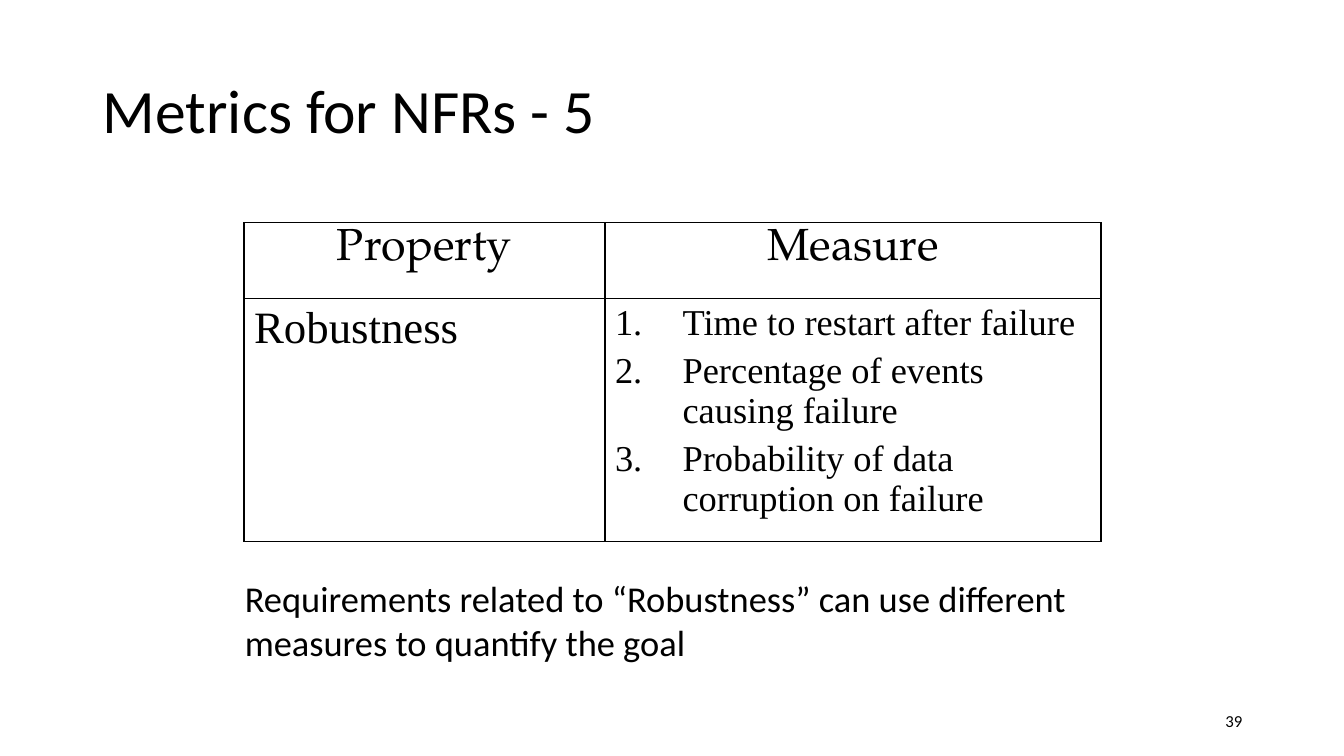
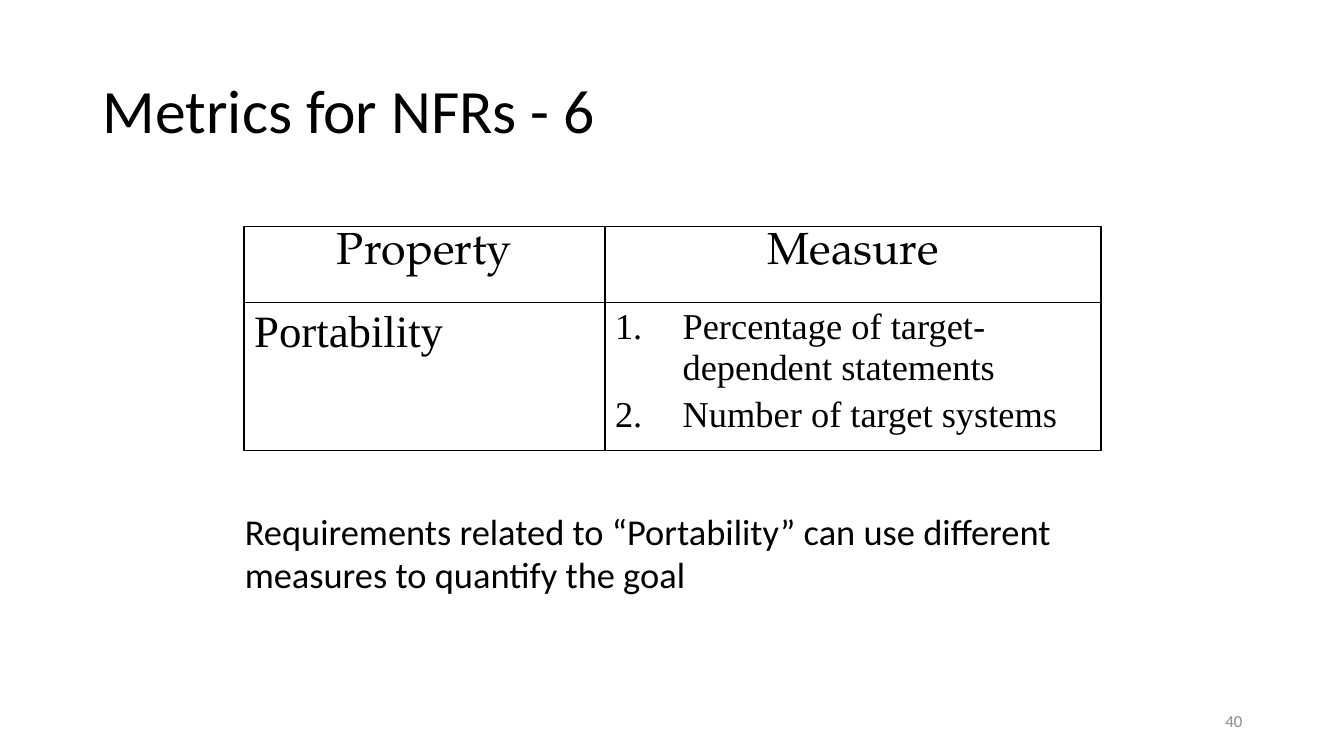
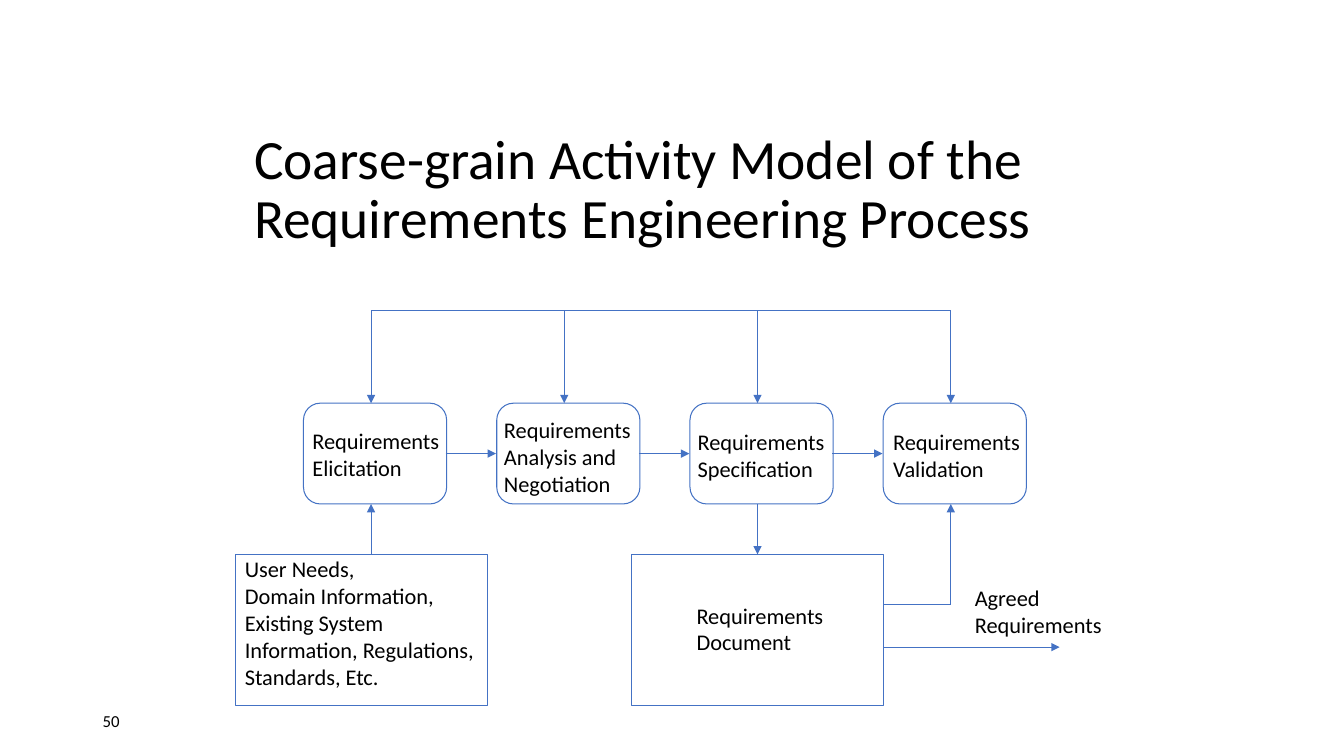
from dataclasses import dataclass

from lxml.etree import SubElement
from pptx import Presentation
from pptx.dml.color import RGBColor
from pptx.enum.shapes import MSO_CONNECTOR, MSO_SHAPE
from pptx.enum.text import MSO_ANCHOR, MSO_AUTO_SIZE, PP_ALIGN
from pptx.oxml import parse_xml
from pptx.oxml.ns import nsdecls, qn
from pptx.util import Inches, Pt


@dataclass(frozen=True)
class Theme:
    ink: str = "000000"
    muted: str = "8C8C8C"
    accent: str = "4472C4"
    body: str = "Calibri"
    serif: str = "Times New Roman"
    heading: str = "TeX Gyre Pagella"
    title_size: float = 44
    long_title_size: float = 39.6
    cell_size: float = 32
    text_size: float = 26
    label_size: float = 16
    number_size: float = 12
    thin: float = 0.75
    medium: float = 1


THEME = Theme()
WIDTH, HEIGHT = 13.33, 7.5
TITLE_BOX = (0.92, 0.4, 11.5, 1.45)
NUMBER_TOP, NUMBER_W, NUMBER_H = 6.95, 3, 0.4
NUMBER_LEFT, NUMBER_RIGHT = 0.92, 9.42
TABLE_LEFT, TABLE_COLUMNS, TABLE_ROW = 2.42, (3.58, 4.92), 0.75
TABLE_HEADER = ("Property", "Measure")
LIST_INDENT = 0.67

METRICS = [
    dict(title="Metrics for NFRs - 5", number="39", number_color=THEME.ink,
         property="Robustness", table_top=2.21, remark_top=5.67,
         measures=["Time to restart after failure",
                   "Percentage of events causing failure",
                   "Probability of data corruption on failure"]),
    dict(title="Metrics for NFRs - 6", number="40", number_color=THEME.muted,
         property="Portability", table_top=2.25, remark_top=5,
         measures=["Percentage of target-dependent statements",
                   "Number of target systems"]),
]
REMARK = "Requirements related to “{}” can use different measures to quantify the goal"

PROCESS_TITLE = "Coarse-grain Activity Model of the Requirements Engineering Process"
# Label lines with the left and top of their box
ACTIVITIES = [
    (["Requirements", "Elicitation"], 3, 4.19),
    (["Requirements", "Analysis and", "Negotiation"], 4.9, 4.08),
    (["Requirements", "Specification"], 6.82, 4.2),
    (["Requirements", "Validation"], 8.76, 4.2),
]
INPUTS = (["User Needs,", "Domain Information,", "Existing System",
           "Information, Regulations,", "Standards, Etc."], 2.33, 5.46)
DOCUMENT = (["Requirements", "Document"], 6.81, 5.92)
OUTCOME = (["Agreed", "Requirements"], 9.57, 5.75)


def inches(*lengths):
    return [Inches(length) for length in lengths]


def add_run(paragraph, text, size, font=THEME.body, color=THEME.ink):
    run = paragraph.add_run()
    run.text = text
    run.font.size, run.font.name = Pt(size), font
    run.font.color.rgb = RGBColor.from_string(color)


def add_text(slide, lines, box, size, color=THEME.ink, align=PP_ALIGN.LEFT,
             anchor=MSO_ANCHOR.TOP, wrap=True):
    frame = slide.shapes.add_textbox(*inches(*box)).text_frame
    frame.word_wrap, frame.vertical_anchor = wrap, anchor
    for i, line in enumerate(lines):
        paragraph = frame.add_paragraph() if i else frame.paragraphs[0]
        paragraph.alignment = align
        add_run(paragraph, line, size, color=color)


def add_titled_slide(deck, title, box=TITLE_BOX, size=THEME.title_size):
    slide = deck.slides.add_slide(deck.slide_layouts[5])
    holder = slide.shapes.title
    holder.left, holder.top, holder.width, holder.height = inches(*box)
    frame = holder.text_frame
    frame.word_wrap, frame.auto_size = True, MSO_AUTO_SIZE.NONE
    frame.vertical_anchor = MSO_ANCHOR.MIDDLE
    paragraph = frame.paragraphs[0]
    paragraph.alignment, paragraph.line_spacing = PP_ALIGN.LEFT, 0.9
    add_run(paragraph, title, size)
    return slide


def add_number(slide, number, left, align, color=THEME.ink):
    add_text(slide, [number], (left, NUMBER_TOP, NUMBER_W, NUMBER_H),
             THEME.number_size, color, align, MSO_ANCHOR.MIDDLE)


def outline_cell(cell):
    properties = cell._tc.get_or_add_tcPr()
    for side in ("lnL", "lnR", "lnT", "lnB"):
        properties.append(parse_xml(
            f'<a:{side} {nsdecls("a")} w="{Pt(THEME.medium)}"><a:solidFill>'
            f'<a:srgbClr val="{THEME.ink}"/></a:solidFill></a:{side}>'))
    cell.fill.background()


def add_numbered(frame, items):
    for i, item in enumerate(items):
        paragraph = frame.add_paragraph() if i else frame.paragraphs[0]
        if i:
            paragraph.space_before = Pt(0.2 * THEME.text_size)
        properties = paragraph._p.get_or_add_pPr()
        properties.set("marL", str(Inches(LIST_INDENT)))
        properties.set("indent", str(-Inches(LIST_INDENT)))
        SubElement(properties, qn("a:buAutoNum"), type="arabicPeriod")
        add_run(paragraph, item, THEME.text_size, THEME.serif)


def add_metric_table(slide, metric):
    table = slide.shapes.add_table(2, 2, *inches(
        TABLE_LEFT, metric["table_top"], sum(TABLE_COLUMNS), 2 * TABLE_ROW)).table
    table.first_row = table.horz_banding = False
    for column, width in zip(table.columns, TABLE_COLUMNS):
        column.width = Inches(width)
    for cell in table.iter_cells():
        outline_cell(cell)
    for i, heading in enumerate(TABLE_HEADER):
        paragraph = table.cell(0, i).text_frame.paragraphs[0]
        paragraph.alignment = PP_ALIGN.CENTER
        add_run(paragraph, heading, THEME.cell_size, THEME.heading)
    add_run(table.cell(1, 0).text_frame.paragraphs[0], metric["property"],
            THEME.cell_size, THEME.serif)
    add_numbered(table.cell(1, 1).text_frame, metric["measures"])


def add_metric_slide(deck, metric):
    slide = add_titled_slide(deck, metric["title"])
    add_number(slide, metric["number"], NUMBER_RIGHT, PP_ALIGN.RIGHT,
               metric["number_color"])
    add_metric_table(slide, metric)
    add_text(slide, [REMARK.format(metric["property"])],
             (2.33, metric["remark_top"], 8.67, 0.97), THEME.text_size)


def add_box(slide, kind, *box):
    shape = slide.shapes.add_shape(kind, *inches(*box))
    shape.shadow.inherit = False
    shape.fill.background()
    shape.line.color.rgb = RGBColor.from_string(THEME.accent)
    shape.line.width = Pt(THEME.thin)


def add_line(slide, start, end, arrow=True, weight=THEME.thin):
    link = slide.shapes.add_connector(MSO_CONNECTOR.STRAIGHT, *inches(*start, *end))
    link.line.color.rgb = RGBColor.from_string(THEME.accent)
    link.line.width = Pt(weight)
    if arrow:
        SubElement(link.line._get_or_add_ln(), qn("a:tailEnd"), type="triangle")
    SubElement(link._element.spPr, qn("a:effectLst"))


def add_label(slide, label, width=1.48):
    lines, left, top = label
    add_text(slide, lines, (left, top, width, 0.1 + 0.27 * len(lines)),
             THEME.label_size, wrap=False)


def add_process_slide(deck):
    slide = add_titled_slide(deck, PROCESS_TITLE, (2.42, 1.29, 8.5, 1.21),
                             THEME.long_title_size)
    add_number(slide, "50", NUMBER_LEFT, PP_ALIGN.LEFT)

    step = 5.75 / 3
    axes = [3.68 + step * i for i in range(len(ACTIVITIES))]
    bus, top, bottom, store = 3.08, 4, 5, 5.5
    store_w, store_h, document_left = 2.5, 1.5, 6.26
    document_right = document_left + store_w

    add_line(slide, (axes[0], bus), (axes[-1], bus), arrow=False)
    for i, (axis, label) in enumerate(zip(axes, ACTIVITIES)):
        add_box(slide, MSO_SHAPE.ROUNDED_RECTANGLE, 3.01 + step * i, top,
                1.42, bottom - top)
        add_line(slide, (axis, bus), (axis, top))
        add_label(slide, label)
        if i:
            gap = 4.42 + step * (i - 1)
            add_line(slide, (gap, 4.5), (gap + 0.5, 4.5), weight=THEME.medium)

    for left in (2.34, document_left):
        add_box(slide, MSO_SHAPE.RECTANGLE, left, store, store_w, store_h)
    add_label(slide, INPUTS, store_w)
    add_label(slide, DOCUMENT)
    add_label(slide, OUTCOME)

    add_line(slide, (axes[0], store), (axes[0], bottom))
    add_line(slide, (axes[2], bottom), (axes[2], store))
    add_line(slide, (document_right, 6), (axes[3], 6), arrow=False)
    add_line(slide, (axes[3], 6), (axes[3], bottom))
    add_line(slide, (document_right, 6.42), (document_right + 1.75, 6.42))


def main():
    deck = Presentation()
    deck.slide_width, deck.slide_height = inches(WIDTH, HEIGHT)
    for metric in METRICS:
        add_metric_slide(deck, metric)
    add_process_slide(deck)
    deck.save("out.pptx")


if __name__ == "__main__":
    main()
